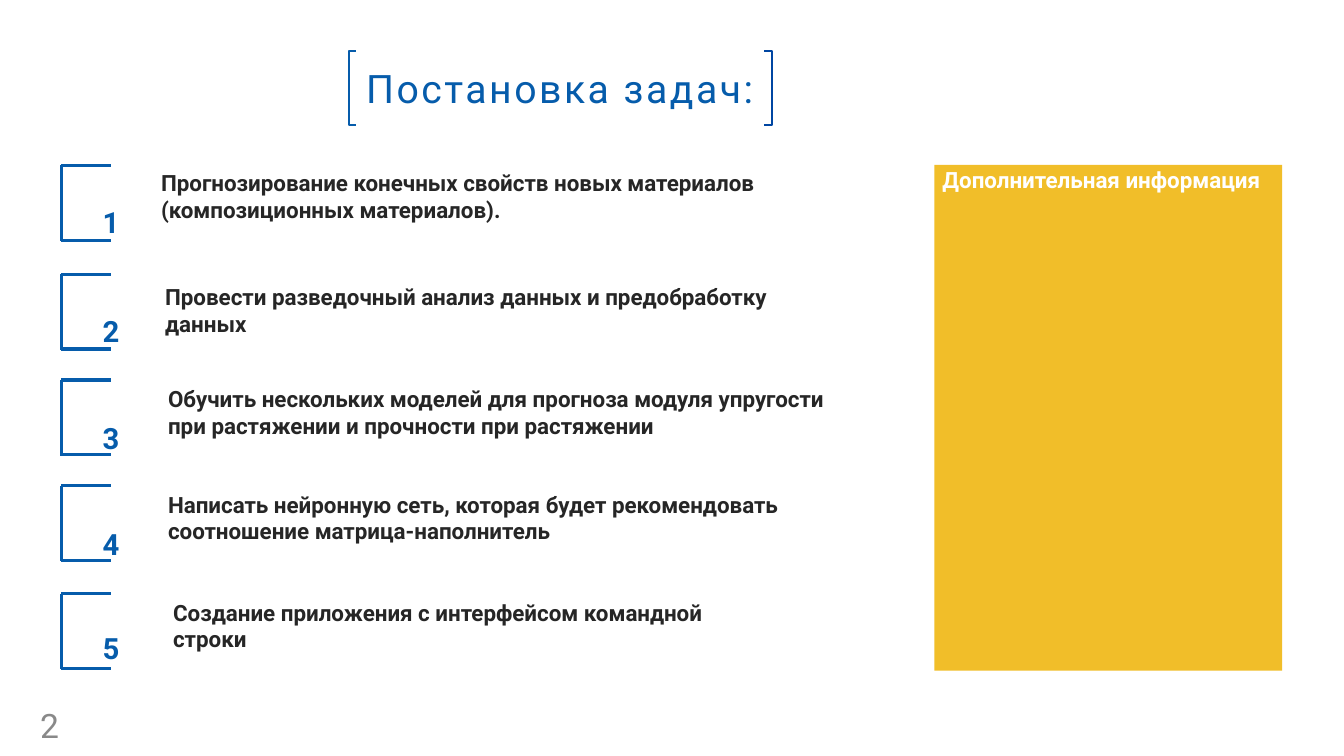
"""Build the task statement slide with five numbered tasks and a side panel."""
from lxml import etree
from pptx import Presentation
from pptx.dml.color import RGBColor
from pptx.enum.shapes import MSO_CONNECTOR, MSO_SHAPE
from pptx.enum.text import MSO_ANCHOR, MSO_AUTO_SIZE, PP_ALIGN
from pptx.oxml.ns import qn
from pptx.util import Pt

BLUE = RGBColor(0x06, 0x5C, 0xAB)
DARK_BLUE = RGBColor(0x00, 0x46, 0xA2)
YELLOW = RGBColor(0xF1, 0xBE, 0x29)
INK = RGBColor(0x26, 0x26, 0x26)
GREY = RGBColor(0x89, 0x89, 0x89)
WHITE = RGBColor(0xFF, 0xFF, 0xFF)
RECTANGLE = MSO_SHAPE.RECTANGLE
STRAIGHT = MSO_CONNECTOR.STRAIGHT
TOP, MIDDLE = MSO_ANCHOR.TOP, MSO_ANCHOR.MIDDLE
LEFT, CENTER, JUSTIFY = PP_ALIGN.LEFT, PP_ALIGN.CENTER, PP_ALIGN.JUSTIFY
GROW = MSO_AUTO_SIZE.SHAPE_TO_FIT_TEXT
FONT = "Roboto"

# Bracket top, number top, then text left, top and height, and the wording.
TASKS = [
    (118.1, 138.2, 108, 117.4, 64.8,
     "Прогнозирование конечных свойств новых материалов (композиционных материалов)."),
    (195.8, 216, 110.9, 198.7, 85,
     "Провести разведочный анализ данных и предобработку данных"),
    (271.4, 292.3, 113, 271.4, 83.5,
     "Обучить нескольких моделей для прогноза модуля упругости при растяжении "
     "и прочности при растяжении"),
    (347, 367.9, 113, 347, 65.5,
     "Написать нейронную сеть, которая будет рекомендовать соотношение матрица-наполнитель"),
    (424.1, 442.1, 116.6, 424.1, 46.1,
     "Создание приложения с интерфейсом командной\vстроки"),
]


def write(shape, text, size, color, bold=False, align=LEFT, anchor=TOP):
    """Put one styled paragraph into a shape and return it."""
    frame = shape.text_frame
    frame.word_wrap = True
    frame.vertical_anchor = anchor
    paragraph = frame.paragraphs[0]
    paragraph.text = text
    paragraph.alignment = align
    font = paragraph.font
    font.name, font.size, font.bold = FONT, Pt(size), bold
    font.color.rgb = color
    return paragraph


def add_label(slide, left, top, width, height, text, size, color, **style):
    """Add a text box with one paragraph and return both."""
    label = slide.shapes.add_textbox(Pt(left), Pt(top), Pt(width), Pt(height))
    return label, write(label, text, size, color, **style)


def add_block(slide, left, top, width, height, fill):
    """Add a filled rectangle without an outline."""
    block = slide.shapes.add_shape(RECTANGLE, Pt(left), Pt(top), Pt(width), Pt(height))
    block.shadow.inherit = False
    block.fill.solid()
    block.fill.fore_color.rgb = fill
    block.line.fill.background()
    return block


def add_title_bracket(slide, tip, spine, color):
    """Draw one square bracket beside the title."""
    top, bottom = Pt(36.7), Pt(89.3)
    builder = slide.shapes.build_freeform(Pt(tip), top)
    builder.add_line_segments(
        [(Pt(spine), top), (Pt(spine), bottom), (Pt(tip), bottom)], close=False)
    bracket = builder.convert_to_shape()
    bracket.shadow.inherit = False
    bracket.fill.background()
    bracket.line.color.rgb = color
    bracket.line.width = Pt(1.3)


def add_task_bracket(slide, top):
    """Draw the three grouped lines of a bracket around a task number."""
    left, right, bottom = 43.9, 79.4, top + 53.5
    group = slide.shapes.add_group_shape()
    for x1, y1, x2, y2 in [(left, top, left, bottom + 0.5),
                           (left, top, right, top),
                           (left, bottom, right, bottom)]:
        edge = group.shapes.add_connector(STRAIGHT, Pt(x1), Pt(y1), Pt(x2), Pt(y2))
        edge.line.color.rgb = BLUE
        edge.line.width = Pt(2.25)
        etree.SubElement(edge._element.spPr, qn("a:effectLst"))


def add_task(slide, number, bracket_top, number_top, left, top, height, text):
    """Add a bracket, its raised number and the task wording."""
    add_task_bracket(slide, bracket_top)
    digit, paragraph = add_label(slide, 66.2, number_top, 85, 50.4,
                                 str(number), 36, BLUE, bold=True)
    paragraph.runs[0]._r.get_or_add_rPr().set("baseline", "30000")
    wording, _ = add_label(slide, left, top, 489.6, height, text, 16, INK, bold=True)
    for label in (digit, wording):
        label.text_frame.auto_size = GROW


def add_title(slide):
    """Add the bracketed and letter-spaced title."""
    title = add_block(slide, 249.1, 36.7, 301.7, 52.6, WHITE)
    title.line.color.rgb = WHITE
    title.line.width = Pt(1)
    paragraph = write(title, "Постановка задач:", 28, BLUE, align=CENTER, anchor=MIDDLE)
    paragraph.runs[0]._r.get_or_add_rPr().set("spc", "180")
    add_title_bracket(slide, 254.2, 249.1, BLUE)
    add_title_bracket(slide, 545.8, 551.5, DARK_BLUE)


def add_panel(slide):
    """Add the yellow panel for additional information."""
    panel = add_block(slide, 667.4, 117.7, 248.4, 361.4, YELLOW)
    paragraph = write(panel, "Дополнительная информация", 16, WHITE,
                      bold=True, align=JUSTIFY)
    paragraph.line_spacing = 0.9
    frame = panel.text_frame
    frame.margin_left = frame.margin_right = Pt(5.8)
    frame.margin_top = frame.margin_bottom = Pt(2.9)


def main():
    """Build and save the slide."""
    deck = Presentation()
    deck.slide_width, deck.slide_height = Pt(960), Pt(540)
    slide = deck.slides.add_slide(deck.slide_layouts[6])
    add_title(slide)
    add_panel(slide)
    for number, task in enumerate(TASKS, 1):
        add_task(slide, number, *task)
    add_label(slide, 21.6, 506.9, 44.6, 21.6, "2", 24, GREY, anchor=MIDDLE)
    deck.save("out.pptx")


if __name__ == "__main__":
    main()
